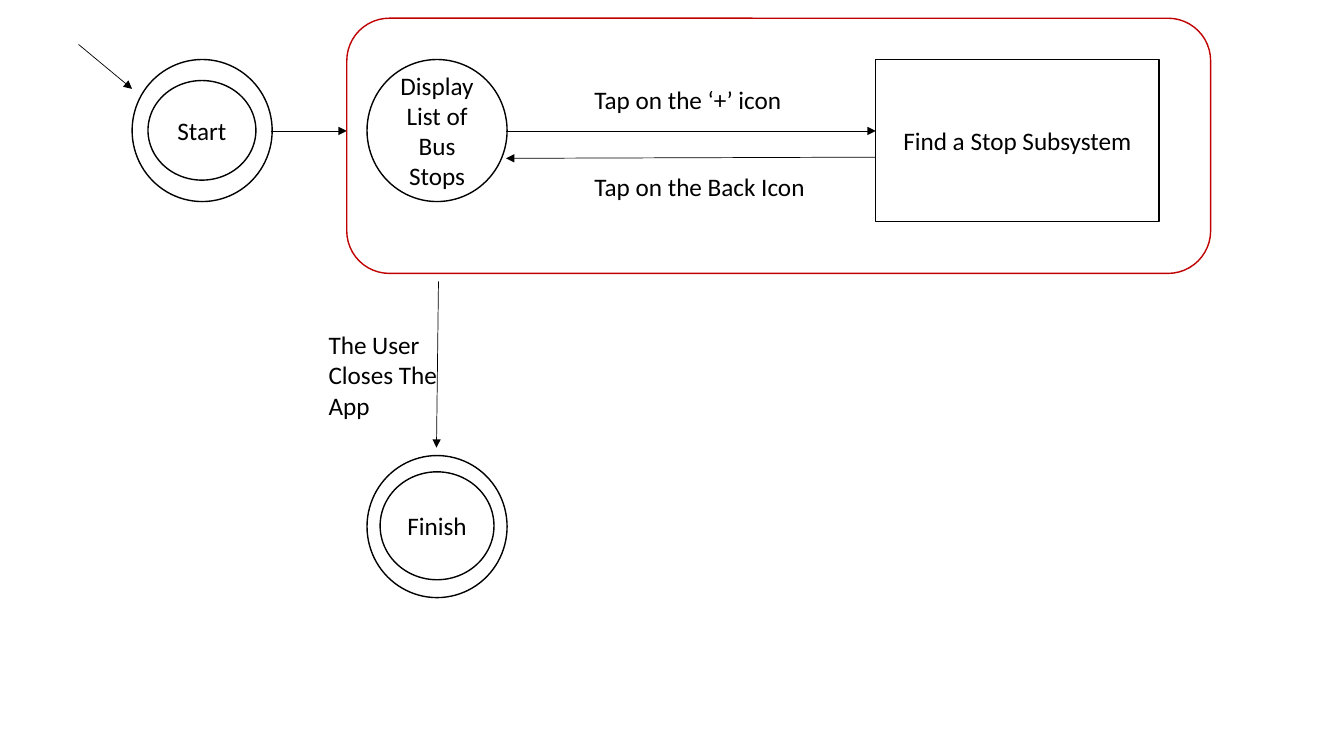
from lxml import etree
from pptx import Presentation
from pptx.dml.color import RGBColor
from pptx.enum.shapes import MSO_CONNECTOR, MSO_SHAPE
from pptx.enum.text import MSO_ANCHOR, MSO_AUTO_SIZE, PP_ALIGN
from pptx.oxml.ns import qn
from pptx.util import Cm, Pt

OVAL, RECT, ROUND = MSO_SHAPE.OVAL, MSO_SHAPE.RECTANGLE, MSO_SHAPE.ROUNDED_RECTANGLE
LEFT, CENTER, MIDDLE = PP_ALIGN.LEFT, PP_ALIGN.CENTER, MSO_ANCHOR.MIDDLE
GROW = MSO_AUTO_SIZE.SHAPE_TO_FIT_TEXT
STRAIGHT = MSO_CONNECTOR.STRAIGHT
COLORS = {"ink": "000000", "paper": "FFFFFF", "frame": "C00000"}


class Chart:
    """Style and current slide of the state diagram."""

    font, size = "Calibri", Pt(18)

    def __init__(self, slide):
        """Keep the slide that is drawn on."""
        self.slide = slide

    def color(self, name):
        """Look up a named colour."""
        return RGBColor.from_string(COLORS[name])

    def letter(self, frame, text, align):
        """Put styled, wrapped text in a text frame."""
        frame.word_wrap = True
        par = frame.paragraphs[0]
        par.text, par.alignment = text, align
        par.font.name, par.font.size = self.font, self.size
        par.font.color.rgb = self.color("ink")

    def shape(self, kind, box, text="", fill="paper", line="ink"):
        """Draw an outlined shape, with centred text if given."""
        item = self.slide.shapes.add_shape(kind, *map(Cm, box))
        item.shadow.inherit = False
        if fill:
            item.fill.solid()
            item.fill.fore_color.rgb = self.color(fill)
        else:
            item.fill.background()
        item.line.color.rgb = self.color(line)
        item.line.width = Pt(1)
        if text:
            item.text_frame.vertical_anchor = MIDDLE
            self.letter(item.text_frame, text, CENTER)

    def state(self, left, top, text=""):
        """Draw a state circle of the common size."""
        self.shape(OVAL, (left, top, 3.53, 3.58), text)

    def label(self, box, text):
        """Add a left-aligned caption."""
        item = self.slide.shapes.add_textbox(*map(Cm, box))
        self.letter(item.text_frame, text, LEFT)
        item.text_frame.auto_size = GROW

    def arrow(self, *ends):
        """Draw a thin arrow from one point to another."""
        item = self.slide.shapes.add_connector(STRAIGHT, *map(Cm, ends))
        item.line.color.rgb = self.color("ink")
        item.line.width = Pt(0.5)
        props = item.element.spPr
        etree.SubElement(props.find(qn("a:ln")), qn("a:tailEnd"), type="triangle")
        etree.SubElement(props, qn("a:effectLst"))


def main():
    """Build the bus stop state diagram."""
    deck = Presentation()
    deck.slide_width, deck.slide_height = Cm(33.87), Cm(19.05)
    chart = Chart(deck.slides.add_slide(deck.slide_layouts[6]))
    top, list_x, find_x = 1.5, 9.25, 22.07
    list_end, go_y = 12.75, 3.3

    chart.state(3.33, top)
    chart.shape(OVAL, (3.73, 2.03, 2.72, 2.51), "Start")
    chart.state(list_x, top, "Display List of Bus Stops")
    chart.shape(RECT, (find_x, top, 7.14, 4.09), "Find a Stop Subsystem")
    chart.state(list_x, 11.48)
    chart.shape(OVAL, (9.58, 11.89, 2.87, 2.72), "Finish")

    chart.arrow(1.98, 1.12, 3.33, 2.24)
    chart.arrow(6.83, go_y, 8.74, go_y)
    chart.arrow(list_end, go_y, find_x, go_y)
    chart.arrow(find_x, 3.96, list_end, 3.99)
    chart.arrow(11.05, 7.09, 11, 11.28)

    chart.label((8.03, 8.18, 3.89, 2.57), "The User Closes The App")
    chart.label((14.73, 2.01, 5.87, 1.02), "Tap on the ‘+’ icon")
    chart.label((14.73, 4.19, 6.1, 1.02), "Tap on the Back Icon")
    chart.shape(ROUND, (8.74, 0.46, 21.77, 6.43), fill=None, line="frame")
    deck.save("out.pptx")


main()
